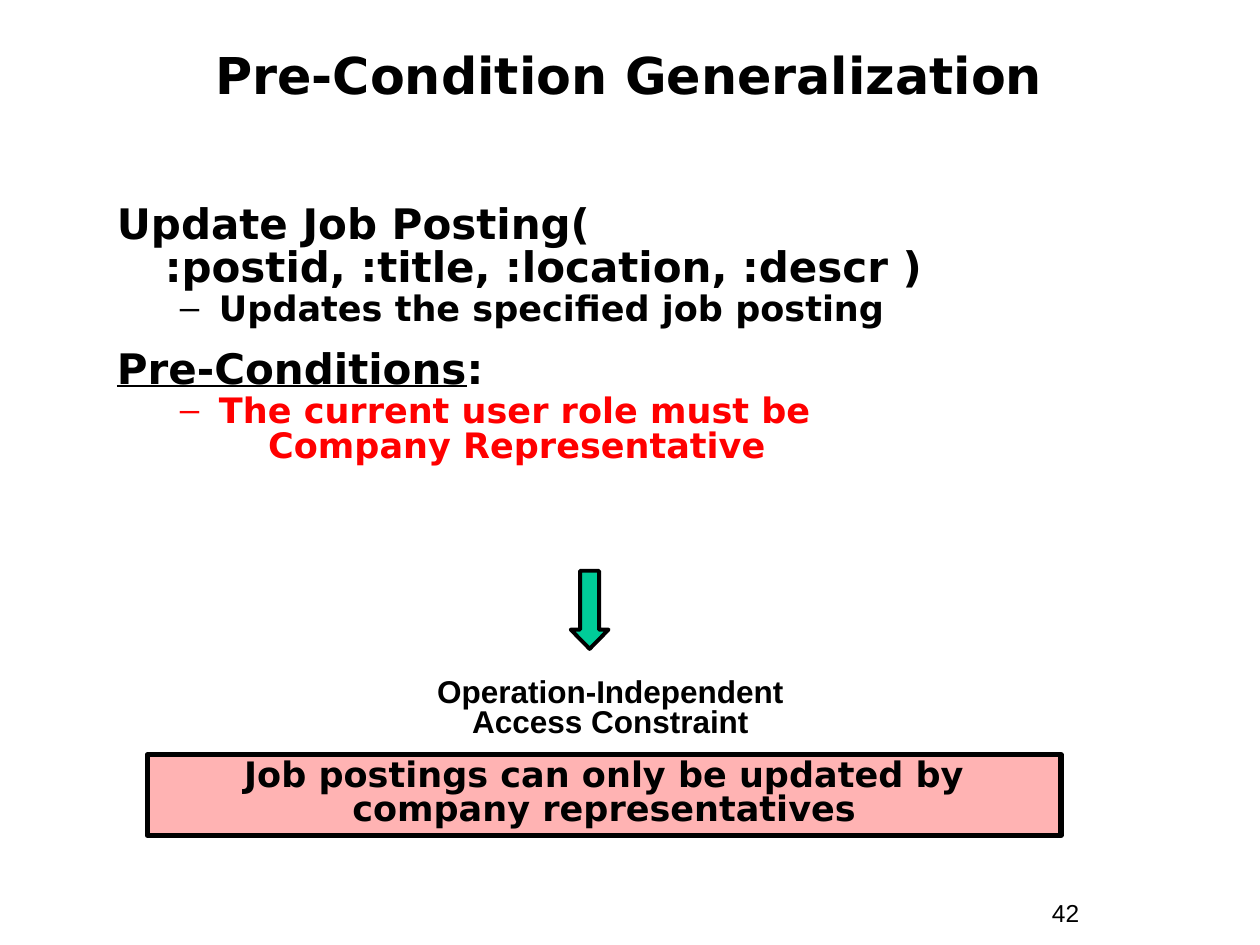
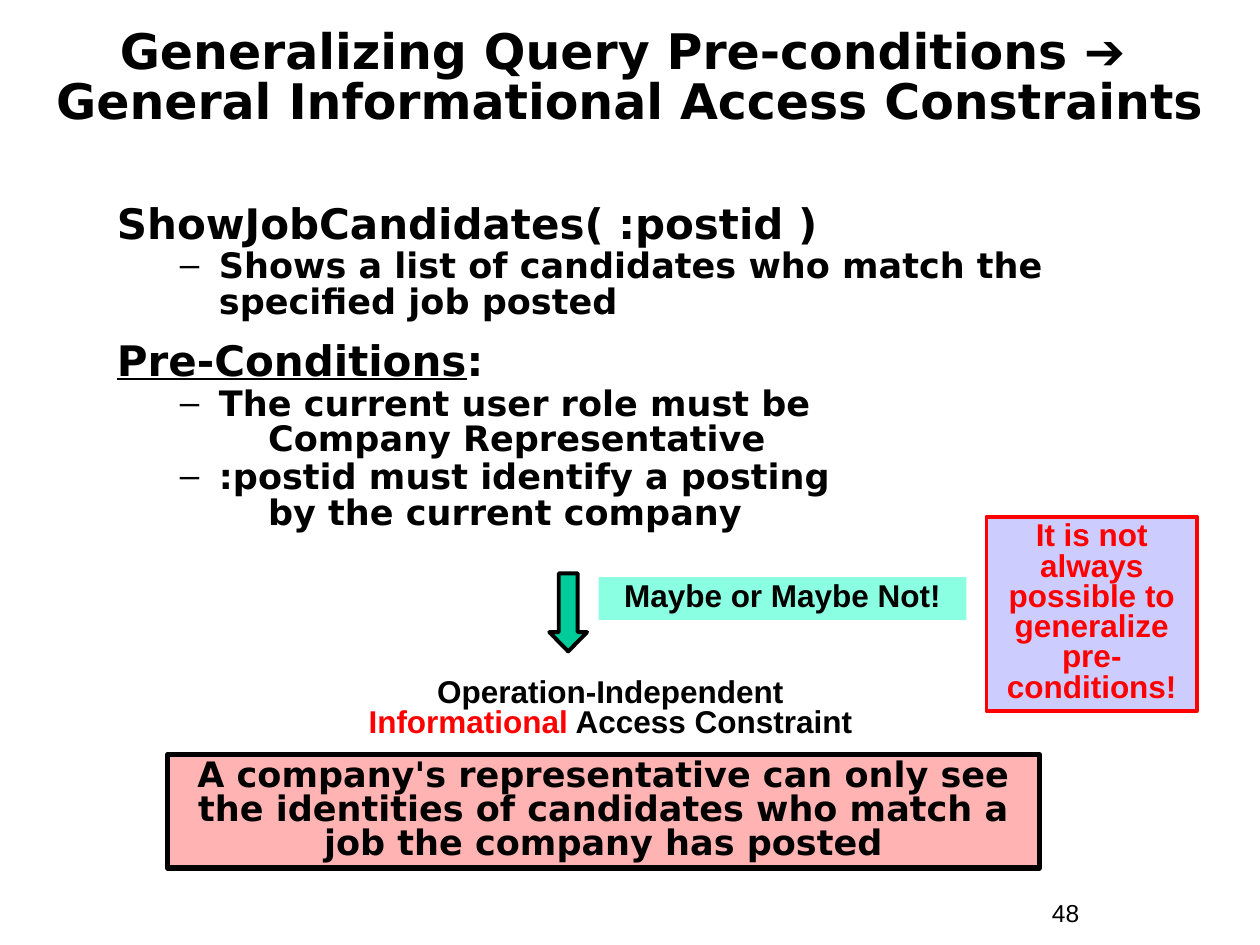
import pptx
import pptx.util
import pptx.dml.color
import pptx.enum.shapes
import pptx.enum.text
import pptx.oxml
import pptx.oxml.ns

Inches = pptx.util.Inches
Pt = pptx.util.Pt
RGBColor = pptx.dml.color.RGBColor
MSO_SHAPE = pptx.enum.shapes.MSO_SHAPE
PP_ALIGN = pptx.enum.text.PP_ALIGN
MSO_ANCHOR = pptx.enum.text.MSO_ANCHOR

BLACK = RGBColor(0x00, 0x00, 0x00)
RED = RGBColor(0xFF, 0x00, 0x00)
GREEN = RGBColor(0x00, 0xCC, 0x99)
PINK = RGBColor(0xFF, 0xB3, 0xB3)
MINT = RGBColor(0x8B, 0xFF, 0xE1)
LAVENDER = RGBColor(0xCC, 0xCC, 0xFF)

SANS, ARIAL = "DejaVu Sans", "Arial"
TITLE_BOX = (0.33, 0.17, 9.33, 0.92)
BODY_BOX = (0.83, 1.58, 8.67, 3)
CAPTION_BOX = (2.01, 5.34, 5.67, 0.58)
NUMBER_BOX = (8.25, 7.08, 0.92, 0.34)
ARROW_SIZE = (0.3, 0.62)

LABEL_FONT = {"name": ARIAL, "size": Pt(18), "bold": True}
RULE_FONT = {"name": SANS, "size": Pt(20), "bold": True}
CENTERED = {"alignment": PP_ALIGN.CENTER, "line_spacing": 0.8}

BODY_STYLES = {
    "head": {"size": 24, "margin": 0.38, "indent": -0.38, "before": 12},
    "item": {"size": 20, "margin": 0.81, "indent": -0.31, "before": 1.2},
    "more": {"size": 20, "margin": 1.2, "indent": 0, "before": 0},
}


def apply(obj, values):
    for name, value in values.items():
        setattr(obj, name, value)


def inches(box):
    return [Inches(v) for v in box]


def add_text(p, text, font, color=BLACK):
    for i, line in enumerate(text.split("\n")):
        if i:
            p.add_line_break()
        if line:
            r = p.add_run()
            r.text = line
            apply(r.font, font)
            r.font.color.rgb = color


def setup_frame(tf, anchor=MSO_ANCHOR.TOP):
    apply(tf, {"word_wrap": True, "auto_size": pptx.enum.text.MSO_AUTO_SIZE.NONE,
               "vertical_anchor": anchor,
               "margin_left": Inches(0.1), "margin_right": Inches(0.1),
               "margin_top": Inches(0.05), "margin_bottom": Inches(0.05)})
    return tf


def add_box(slide, box):
    return setup_frame(slide.shapes.add_textbox(*inches(box)).text_frame)


def add_shape(slide, kind, box, fill, line=None, width=0):
    sp = slide.shapes.add_shape(kind, *inches(box))
    sp.shadow.inherit = False
    sp.fill.solid()
    sp.fill.fore_color.rgb = fill
    if line is None:
        sp.line.fill.background()
    else:
        sp.line.color.rgb = line
        sp.line.width = Pt(width)
    return sp


def add_panel(slide, box, text, fill, font, color=BLACK, line=None, width=0):
    sp = add_shape(slide, MSO_SHAPE.RECTANGLE, box, fill, line, width)
    p = setup_frame(sp.text_frame).paragraphs[0]
    apply(p, CENTERED)
    add_text(p, text, font, color)


def add_title(slide, runs, size):
    title = slide.shapes.title
    apply(title, dict(zip(("left", "top", "width", "height"), inches(TITLE_BOX))))
    p = setup_frame(title.text_frame, MSO_ANCHOR.MIDDLE).paragraphs[0]
    apply(p, {"alignment": PP_ALIGN.CENTER, "line_spacing": 0.85})
    for text, name in runs:
        add_text(p, text, {"name": name, "size": Pt(size), "bold": True})


def add_dash(p, color):
    pPr = p._p.get_or_add_pPr()
    ns = pptx.oxml.ns.nsdecls("a")
    for xml in (f'<a:buClr {ns}><a:srgbClr val="{color}"/></a:buClr>',
                f'<a:buFont {ns} typeface="{ARIAL}"/>',
                f'<a:buChar {ns} char="–"/>'):
        pPr.append(pptx.oxml.parse_xml(xml))


def add_body(slide, lines):
    tf = add_box(slide, BODY_BOX)
    for i, (kind, text, color) in enumerate(lines):
        p = tf.paragraphs[0] if i == 0 else tf.add_paragraph()
        style = BODY_STYLES[kind]
        apply(p, {"line_spacing": 0.85, "space_before": Pt(style["before"] if i else 0)})
        pPr = p._p.get_or_add_pPr()
        pPr.set("marL", str(Inches(style["margin"])))
        pPr.set("indent", str(Inches(style["indent"])))
        if kind == "item":
            add_dash(p, color)
        font = {"name": SANS, "size": Pt(style["size"]), "bold": True}
        if text == "Pre-Conditions:":
            add_text(p, text[:-1], {**font, "underline": True}, color)
            text = ":"
        add_text(p, text, font, color)


def add_arrow(slide, left, top):
    sp = add_shape(slide, MSO_SHAPE.DOWN_ARROW, (left, top, *ARROW_SIZE), GREEN, BLACK, 2.25)
    sp.adjustments[0] = 0.5
    sp.adjustments[1] = 0.51


def add_caption(slide, runs):
    p = add_box(slide, CAPTION_BOX).paragraphs[0]
    apply(p, CENTERED)
    for text, color in runs:
        add_text(p, text, LABEL_FONT, color)


def add_number(slide, number):
    p = add_box(slide, NUMBER_BOX).paragraphs[0]
    add_text(p, str(number), {"name": ARIAL, "size": Pt(14)})


def add_constraint_slide(prs, number, title, title_size, body, arrow, rule_box, rule, caption):
    slide = prs.slides.add_slide(prs.slide_layouts[5])
    add_number(slide, number)
    add_title(slide, title, title_size)
    add_body(slide, body)
    add_arrow(slide, *arrow)
    add_panel(slide, rule_box, rule, PINK, RULE_FONT, line=BLACK, width=3)
    add_caption(slide, caption)
    return slide


def main():
    prs = pptx.Presentation()
    prs.slide_width, prs.slide_height = Inches(10), Inches(7.5)

    add_constraint_slide(
        prs, 42, [("Pre-Condition Generalization", SANS)], 29,
        [("head", "Update Job Posting(\n:postid, :title, :location, :descr )", BLACK),
         ("item", "Updates the specified job posting", BLACK),
         ("head", "Pre-Conditions:", BLACK),
         ("item", "The current user role must be", RED),
         ("more", "Company Representative", RED)],
        (4.53, 4.53), (1.17, 5.99, 7.25, 0.64),
        "Job postings can only be updated by company representatives",
        [("Operation-Independent\nAccess Constraint", BLACK)])

    slide = add_constraint_slide(
        prs, 48,
        [("Generalizing Query Pre-conditions ", SANS), ("➔ \n", ARIAL),
         ("General Informational Access Constraints", SANS)], 28,
        [("head", "ShowJobCandidates( :postid )", BLACK),
         ("item", "Shows a list of candidates who match the specified job posted", BLACK),
         ("head", "Pre-Conditions:", BLACK),
         ("item", "The current user role must be", BLACK),
         ("more", "Company Representative", BLACK),
         ("item", ":postid must identify a posting", BLACK),
         ("more", "by the current company", BLACK)],
        (4.36, 4.55), (1.33, 5.99, 6.92, 0.9),
        "A company's representative can only see the identities of candidates "
        "who match a job the company has posted",
        [("Operation-Independent\n", BLACK), ("Informational", RED),
         (" Access Constraint", BLACK)])
    add_panel(slide, (4.75, 4.58, 2.92, 0.34), "Maybe or Maybe Not!", MINT, LABEL_FONT)
    add_panel(slide, (7.83, 4.1, 1.67, 1.54),
              "It is not always possible to generalize pre-conditions!",
              LAVENDER, LABEL_FONT, RED, RED, 2.25)

    prs.save("out.pptx")


if __name__ == "__main__":
    main()
